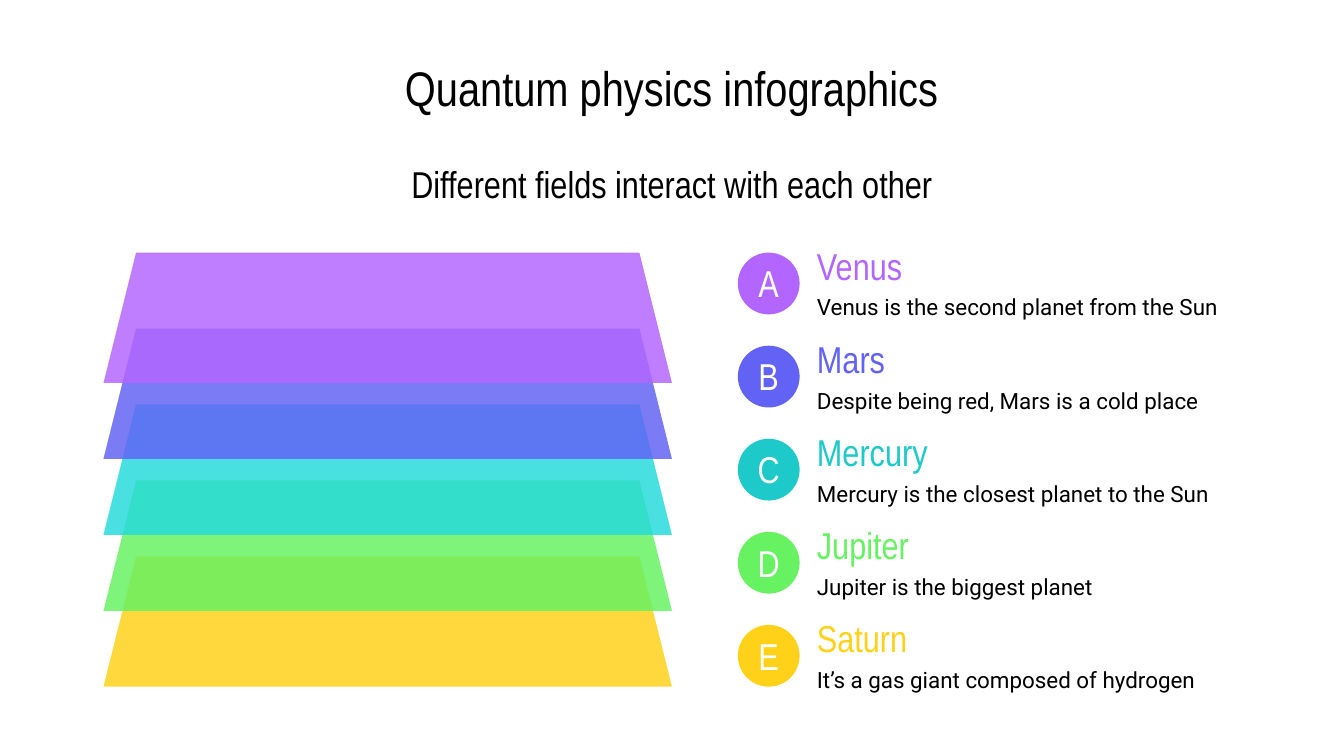
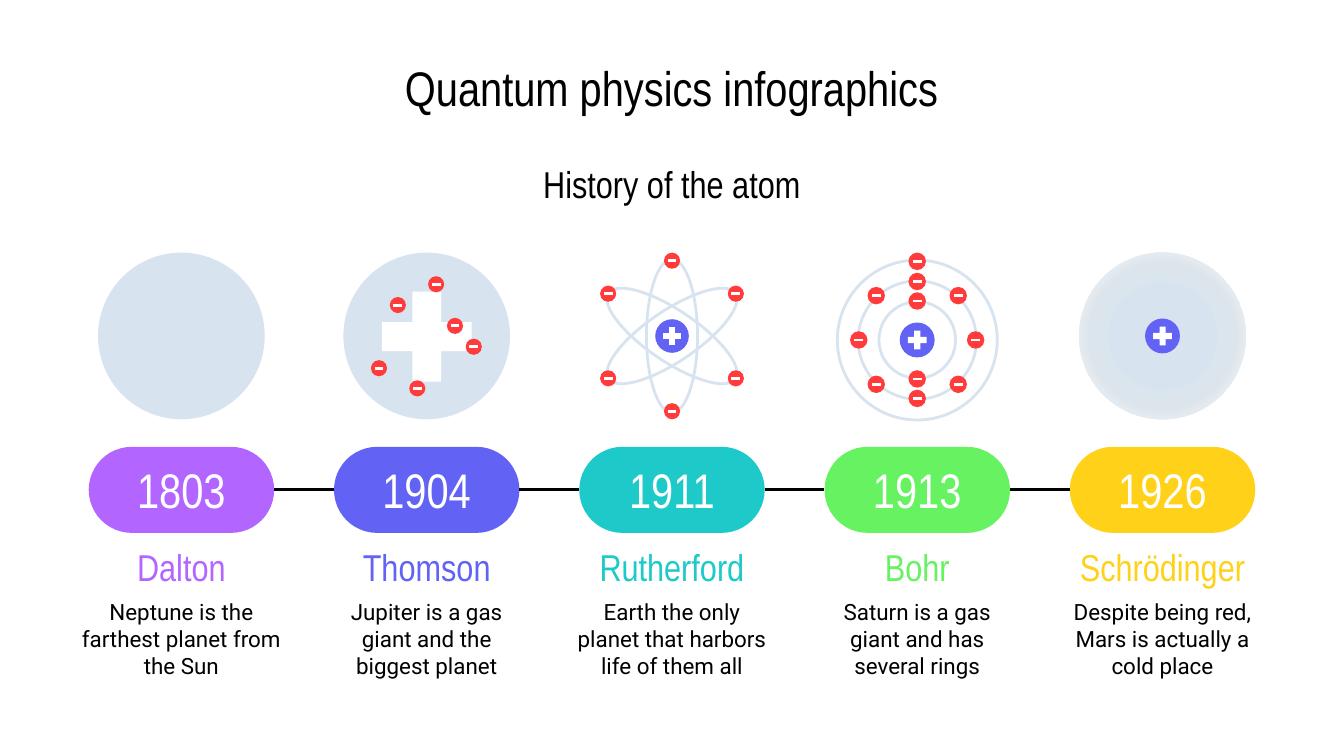
import itertools

import pptx
import pptx.dml.color
import pptx.enum.shapes
import pptx.enum.text
import pptx.oxml
import pptx.oxml.ns
import pptx.util

# Content
TITLE = "Quantum physics infographics"
FIELDS = "Different fields interact with each other"
ATOMS = "History of the atom"
PLANETS = [
    ("A", "Venus", "Venus is the second planet from the Sun"),
    ("B", "Mars", "Despite being red, Mars is a cold place"),
    ("C", "Mercury", "Mercury is the closest planet to the Sun"),
    ("D", "Jupiter", "Jupiter is the biggest planet"),
    ("E", "Saturn", "It’s a gas giant composed of hydrogen"),
]
EVENTS = [
    ("1803", "Dalton", "Neptune is the farthest planet from the Sun"),
    ("1904", "Thomson", "Jupiter is a gas giant and the biggest planet"),
    ("1911", "Rutherford", "Earth the only planet that harbors life of them all"),
    ("1913", "Bohr", "Saturn is a gas giant and has several rings"),
    ("1926", "Schrödinger", "Despite being red, Mars is actually a cold place"),
]

# Shared style
COLORS = ["B366FF", "6262F5", "1EC9C9", "66F261", "FFD119"]
LAYERS = ["B366FF", "6262F5", "25DBDB", "66F261", "FFD119"]
BLACK, WHITE, PALE, RED, BLUE = "000000", "FFFFFF", "D7E4F0", "FF3B3B", "6262F5"
CLOUD = [(0, PALE), (39, PALE), (61, "DDE5EC"), (100, WHITE)]
HEAD, BODY = "Arial Narrow", "Roboto"
SCALE = 4572  # EMU in one px, 200 px to the inch
WIDTH, HEIGHT = 2000, 1125

# Electrons, as offsets from the centre of each atom
THOMSON = [(14, -77), (-14, 78), (42, -15), (-43, -46), (70, 16), (-71, 48)]
RUTHER = [(0, -112), (0, 112), *itertools.product((-95, 95), (-63, 63))]
BOHR = [(0, -117), (0, -87), (0, -58), (0, 58), (0, 87), (-87, 0), (87, 0),
        *itertools.product((-61, 61), (-66, 66))]

KIND = pptx.enum.shapes.MSO_SHAPE
ALIGN = pptx.enum.text.PP_ALIGN


def px(value):
    return pptx.util.Emu(round(value * SCALE))


def rgb(code):
    return pptx.dml.color.RGBColor.from_string(code)


def spread(first, last, count=5):
    return [first + (last - first) * i / (count - 1) for i in range(count)]


def tag(name, inner="", **attrs):
    pairs = "".join(f' {key}="{val}"' for key, val in attrs.items())
    space = pptx.oxml.ns.nsdecls("a")
    return pptx.oxml.parse_xml(f"<a:{name} {space}{pairs}>{inner}</a:{name}>")


def write(shape, text, size, color, font=HEAD, align=ALIGN.CENTER, side=20, foot=20):
    frame = shape.text_frame
    frame.word_wrap = True
    frame.vertical_anchor = pptx.enum.text.MSO_ANCHOR.MIDDLE
    frame.margin_left = frame.margin_right = px(side)
    frame.margin_top, frame.margin_bottom = px(20), px(foot)
    para = frame.paragraphs[0]
    para.alignment = align
    run = para.add_run()
    run.text = text
    run.font.size = pptx.util.Pt(size)
    run.font.name = font
    run.font.color.rgb = rgb(color)


def label(slide, box, text, size, color, **style):
    write(slide.shapes.add_textbox(*map(px, box)), text, size, color, **style)


def draw(slide, kind, box, fill=None, line=None, adj=None):
    shape = slide.shapes.add_shape(kind, *map(px, box))
    shape.shadow.inherit = False
    if fill:
        shape.fill.solid()
        shape.fill.fore_color.rgb = rgb(fill)
    else:
        shape.fill.background()
    if line:
        shape.line.color.rgb = rgb(line)
        shape.line.width = pptx.util.Pt(1.5)
    else:
        shape.line.fill.background()
    if adj is not None:
        shape.adjustments[0] = adj
    return shape


def center(slide, kind, x, y, wide, high=None, **style):
    high = high or wide
    return draw(slide, kind, (x - wide / 2, y - high / 2, wide, high), **style)


def start(deck, topic):
    slide = deck.slides.add_slide(deck.slide_layouts[6])
    slide.background.fill.solid()
    slide.background.fill.fore_color.rgb = rgb(WHITE)
    label(slide, (440, 66, 1120, 126), TITLE, 26, BLACK)
    label(slide, (440, 236, 1120, 74), topic, 20, BLACK)
    return slide


# Slide 1: stacked layers and their legend
def fade(shape, percent):
    color = next(shape.element.spPr.iter(pptx.oxml.ns.qn("a:srgbClr")))
    color.append(tag("alpha", val=percent * 1000))


def fields(deck):
    slide = start(deck, FIELDS)
    for y, color in reversed(list(zip(spread(376, 828), LAYERS))):
        fade(draw(slide, KIND.TRAPEZOID, (154, y, 846, 194), color, adj=0.25), 84)
    for y, color, (mark, name, fact) in zip(spread(358, 912), COLORS, PLANETS):
        label(slide, (1196, y, 650, 74), name, 20, color, align=ALIGN.LEFT)
        label(slide, (1196, y + 72, 650, 54), fact, 12, BLACK, font=BODY,
              align=ALIGN.LEFT)
        badge = draw(slide, KIND.OVAL, (1098, y + 18, 92, 92), color)
        write(badge, mark, 20, WHITE, side=0, foot=22)


# Slide 2: atom models above a timeline
def plus(slide, x, y, size):
    center(slide, KIND.MATH_PLUS, x, y, size, fill=WHITE, adj=0.235)


def core(slide, x, y, size):
    center(slide, KIND.OVAL, x, y, size, fill=BLUE)
    plus(slide, x, y, size - 14)


def charge(slide, x, y, spots, size=24):
    for dx, dy in spots:
        center(slide, KIND.OVAL, x + dx, y + dy, size, fill=RED)
        center(slide, KIND.MATH_MINUS, x + dx, y + dy, 18, fill=WHITE, adj=0.235)


def ball(slide, x, y):
    return center(slide, KIND.OVAL, x, y, 248, fill=PALE)


def thomson(slide, x, y):
    ball(slide, x, y)
    plus(slide, x, y + 1, 182)
    charge(slide, x, y, THOMSON)


def ruther(slide, x, y):
    for turn in (0, -56, 56):
        orbit = center(slide, KIND.OVAL, x, y, 76, 228, line=PALE)
        orbit.rotation = turn
    core(slide, x, y, 50)
    charge(slide, x, y, RUTHER)


def bohr(slide, x, y):
    y += 6
    for size in (114, 176, 238):
        center(slide, KIND.OVAL, x, y, size, line=PALE)
    core(slide, x, y, 52)
    charge(slide, x, y, BOHR, 26)


def cloud(slide, x, y):
    props = ball(slide, x, y).element.spPr
    stops = "".join(f'<a:gs pos="{pos * 1000}"><a:srgbClr val="{color}"/></a:gs>'
                    for pos, color in CLOUD)
    focus = '<a:fillToRect l="50000" t="50000" r="50000" b="50000"/>'
    grad = tag("gradFill", f"<a:gsLst>{stops}</a:gsLst>"
                           f'<a:path path="circle">{focus}</a:path>')
    props.replace(props.find(pptx.oxml.ns.qn("a:solidFill")), grad)
    core(slide, x, y, 52)


def link(slide, left, right):
    kind = pptx.enum.shapes.MSO_CONNECTOR.STRAIGHT
    line = slide.shapes.add_connector(kind, 0, 0, 0, 0)
    line.begin_connect(left, 3)
    line.end_connect(right, 1)
    line.line.color.rgb = rgb(BLACK)
    line.line.width = pptx.util.Pt(1.5)
    line.element.spPr.append(tag("effectLst"))


def atoms(deck):
    slide = start(deck, ATOMS)
    models = [ball, thomson, ruther, bohr, cloud]
    pills = []
    for x, color, model, (year, name, fact) in zip(
            spread(270, 1730), COLORS, models, EVENTS):
        model(slide, x, 500)
        pill = draw(slide, KIND.ROUNDED_RECTANGLE, (x - 138, 665, 276, 128),
                    color, adj=0.5)
        write(pill, year, 26, WHITE, foot=22)
        pills.append(pill)
        label(slide, (x - 168, 806, 336, 74), name, 20, color)
        label(slide, (x - 168, 874, 336, 152), fact, 12, BLACK, font=BODY)
    for left, right in itertools.pairwise(pills):
        link(slide, left, right)


def main():
    deck = pptx.Presentation()
    deck.slide_width, deck.slide_height = px(WIDTH), px(HEIGHT)
    fields(deck)
    atoms(deck)
    deck.save("out.pptx")


if __name__ == "__main__":
    main()
